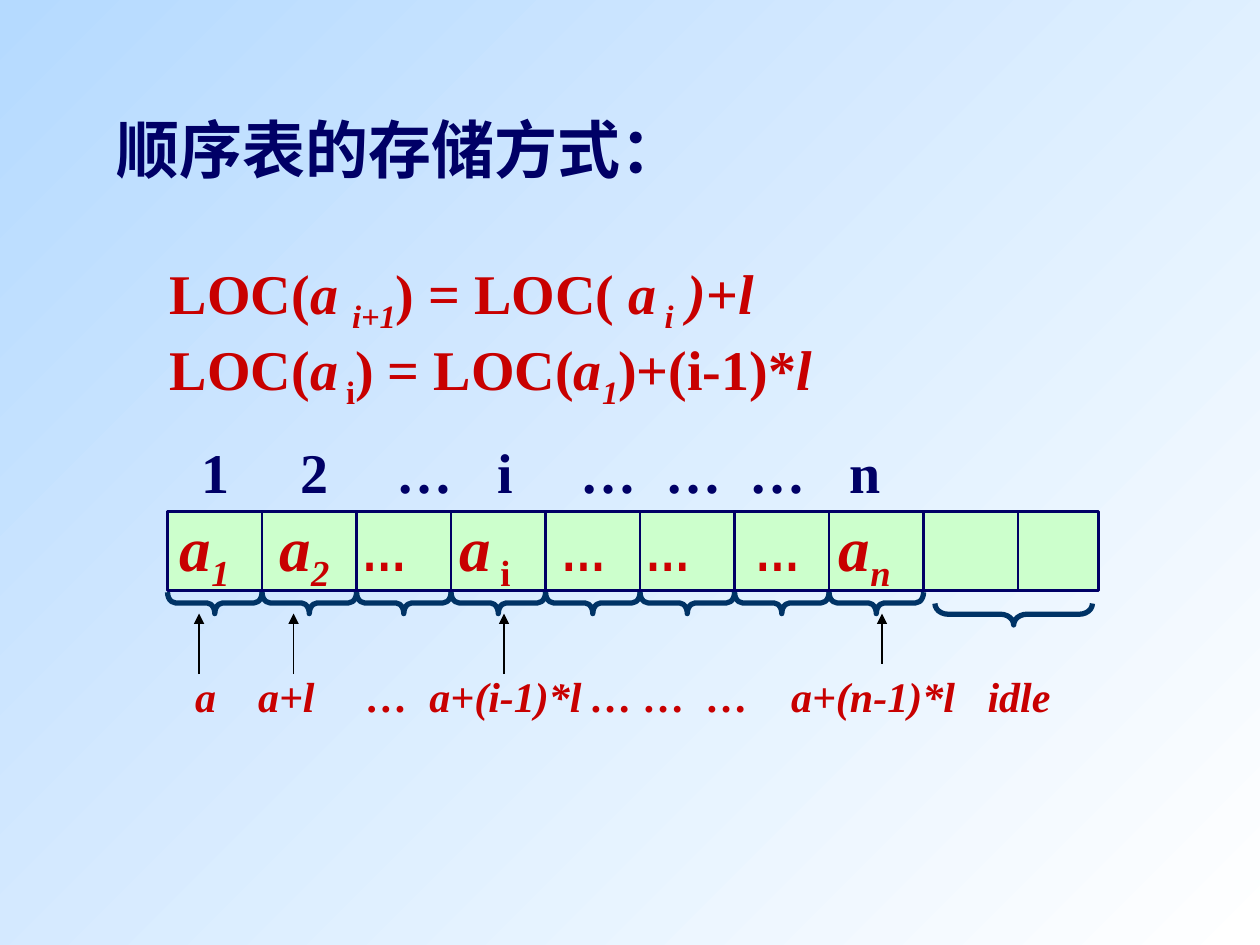
from lxml import etree
from pptx import Presentation
from pptx.dml.color import RGBColor
from pptx.enum.shapes import MSO_CONNECTOR, MSO_SHAPE
from pptx.enum.text import MSO_ANCHOR, PP_ALIGN
from pptx.oxml.ns import qn
from pptx.util import Inches, Pt

STRAIGHT = MSO_CONNECTOR.STRAIGHT
RECTANGLE, LEFT_BRACE = MSO_SHAPE.RECTANGLE, MSO_SHAPE.LEFT_BRACE
LEFT, MIDDLE = PP_ALIGN.LEFT, MSO_ANCHOR.MIDDLE

SKY = RGBColor(0xB5, 0xDA, 0xFF)
WHITE = RGBColor(0xFF, 0xFF, 0xFF)
NAVY = RGBColor(0x00, 0x00, 0x66)
RED = RGBColor(0xC8, 0x00, 0x00)
DOTS_RED = RGBColor(0xCC, 0x00, 0x00)
MINT = RGBColor(0xCC, 0xFF, 0xCC)
TEAL = RGBColor(0x00, 0x33, 0x66)
BLACK = RGBColor(0x00, 0x00, 0x00)

SERIF, NARROW = "Times New Roman", "Arial Narrow"
INSET = 0.1
ARRAY_X, ARRAY_Y, ARRAY_W, ARRAY_H = 1.33, 4.06, 7.39, 0.63
CELL_W, USED_CELLS, ALL_CELLS = 0.75, 8, 10
BRACE_DEPTH = 0.17
ITALIC = {"italic": True}
SUB = {"sub": True}
ITALIC_SUB = {"italic": True, "sub": True}
DOTS = {"font": NARROW, "size": 32, "color": DOTS_RED}


def set_background(s):
    fill = s.background.fill
    fill.gradient()
    fill.gradient_angle = 315
    for stop, color in zip(fill.gradient_stops, (SKY, WHITE)):
        stop.color.rgb = color


def add_run(p, text, size=32, color=RED, font=SERIF, italic=False, sub=False):
    r = p.add_run()
    r.text = text
    r.font.name, r.font.size = font, Pt(size)
    r.font.bold, r.font.italic = True, italic
    r.font.color.rgb = color
    if sub:
        r._r.get_or_add_rPr().set("baseline", "-25000")


def write_text(sp, paragraphs, tabs=(), **style):
    """Fill a shape with paragraphs of (text, overrides) runs; tabs are slide x positions."""
    tf = sp.text_frame
    tf.word_wrap = True
    for i, runs in enumerate(paragraphs):
        p = tf.add_paragraph() if i else tf.paragraphs[0]
        p.alignment = LEFT
        if tabs:
            tab_list = etree.SubElement(p._p.get_or_add_pPr(), qn("a:tabLst"))
            for x in tabs:
                pos = Inches(x - INSET) - sp.left
                etree.SubElement(tab_list, qn("a:tab"), pos=str(pos), algn="l")
        for text, overrides in runs:
            add_run(p, text, **{**style, **overrides})


def add_text(s, x, y, w, h, paragraphs, **style):
    box = s.shapes.add_textbox(Inches(x), Inches(y), Inches(w), Inches(h))
    write_text(box, paragraphs, **style)


def tabbed(items):
    """Put a tab in front of every item."""
    return [run for item in items for run in (("\t", {"size": 36}), item)]


def add_line(s, x1, y1, x2, y2, color, width, arrow=False):
    line = s.shapes.add_connector(STRAIGHT, Inches(x1), Inches(y1), Inches(x2), Inches(y2))
    line.line.color.rgb, line.line.width = color, Pt(width)
    if arrow:
        etree.SubElement(line.line._get_or_add_ln(), qn("a:tailEnd"), type="triangle")
    etree.SubElement(line._element.spPr, qn("a:effectLst"))


def add_brace(s, x, y, length):
    """Brace pointing down, spanning length from x with its top at y."""
    sp = s.shapes.add_shape(LEFT_BRACE,
                            Inches(x + (length - BRACE_DEPTH) / 2),
                            Inches(y + (BRACE_DEPTH - length) / 2),
                            Inches(BRACE_DEPTH), Inches(length))
    sp.rotation = 270
    sp.adjustments[0] = length / 12 / BRACE_DEPTH
    sp.shadow.inherit = False
    sp.fill.background()
    sp.line.color.rgb, sp.line.width = TEAL, Pt(3)


def add_array(s):
    sp = s.shapes.add_shape(RECTANGLE, Inches(ARRAY_X), Inches(ARRAY_Y),
                            Inches(ARRAY_W), Inches(ARRAY_H))
    sp.shadow.inherit = False
    sp.fill.solid()
    sp.fill.fore_color.rgb = MINT
    sp.line.color.rgb, sp.line.width = NAVY, Pt(1.5)
    sp.text_frame.vertical_anchor = MIDDLE
    runs = [("a", ITALIC), ("1", ITALIC_SUB), ("\t", {}),
            ("a", ITALIC), ("2", ITALIC_SUB), ("\t…\t", DOTS),
            ("a", ITALIC), (" i", SUB), ("\t…\t…\t…\t", DOTS),
            ("a", ITALIC), ("n", ITALIC_SUB)]
    write_text(sp, [runs], size=36, tabs=(2.22, 2.87, 3.65, 4.45, 5.12, 5.99, 6.66))
    bottom = ARRAY_Y + ARRAY_H
    for i in range(1, ALL_CELLS):
        x = ARRAY_X + i * CELL_W
        add_line(s, x, ARRAY_Y, x, bottom, NAVY, 1.5)
    for i in range(USED_CELLS):
        add_brace(s, ARRAY_X + i * CELL_W, bottom + 0.01, CELL_W)
    add_brace(s, 7.42, 4.79, 1.25)


def main():
    prs = Presentation()
    prs.slide_width, prs.slide_height = Inches(10), Inches(7.5)
    s = prs.slides.add_slide(prs.slide_layouts[6])
    set_background(s)

    add_text(s, 0.83, 0.83, 8.5, 5.92, [[("顺序表的存储方式：", {})]], size=36, color=NAVY)
    next_formula = [("LOC(", {}), ("a ", ITALIC), ("i+1", ITALIC_SUB), (") = LOC(", {}),
                    (" a", ITALIC), (" i", ITALIC_SUB), (" )", ITALIC), ("+", {}),
                    ("l", ITALIC)]
    direct_formula = [("LOC(", {}), ("a", ITALIC), (" i", SUB), (") = LOC(", {}),
                      ("a", ITALIC), ("1", ITALIC_SUB), (")+(i-1)*", {}), ("l", ITALIC)]
    add_text(s, 1.25, 2, 7.92, 1.32, [next_formula, direct_formula])

    add_array(s)
    indexes = [("1\t2\t…\ti\t…\t…\t…\tn", {})]
    add_text(s, 1.5, 3.42, 5.84, 0.64, [indexes], color=NAVY,
             tabs=(2.39, 3.15, 3.95, 4.61, 5.28, 5.95, 6.74))
    addresses = ["a", "a+l", "…", "a+(i-1)*l", "…", "…", "…", "a+(n-1)*l", "idle"]
    add_text(s, 1.08, 5.11, 7.67, 0.7, [tabbed([(text, {}) for text in addresses])],
             size=24, italic=True,
             tabs=(1.55, 2.05, 2.91, 3.41, 4.69, 5.11, 5.61, 6.28, 7.84))
    for x, start_y in ((1.58, 5.35), (2.33, 5.35), (4, 5.35), (7, 5.27)):
        add_line(s, x, start_y, x, 4.87, BLACK, 0.75, arrow=True)

    prs.save("out.pptx")


if __name__ == "__main__":
    main()
